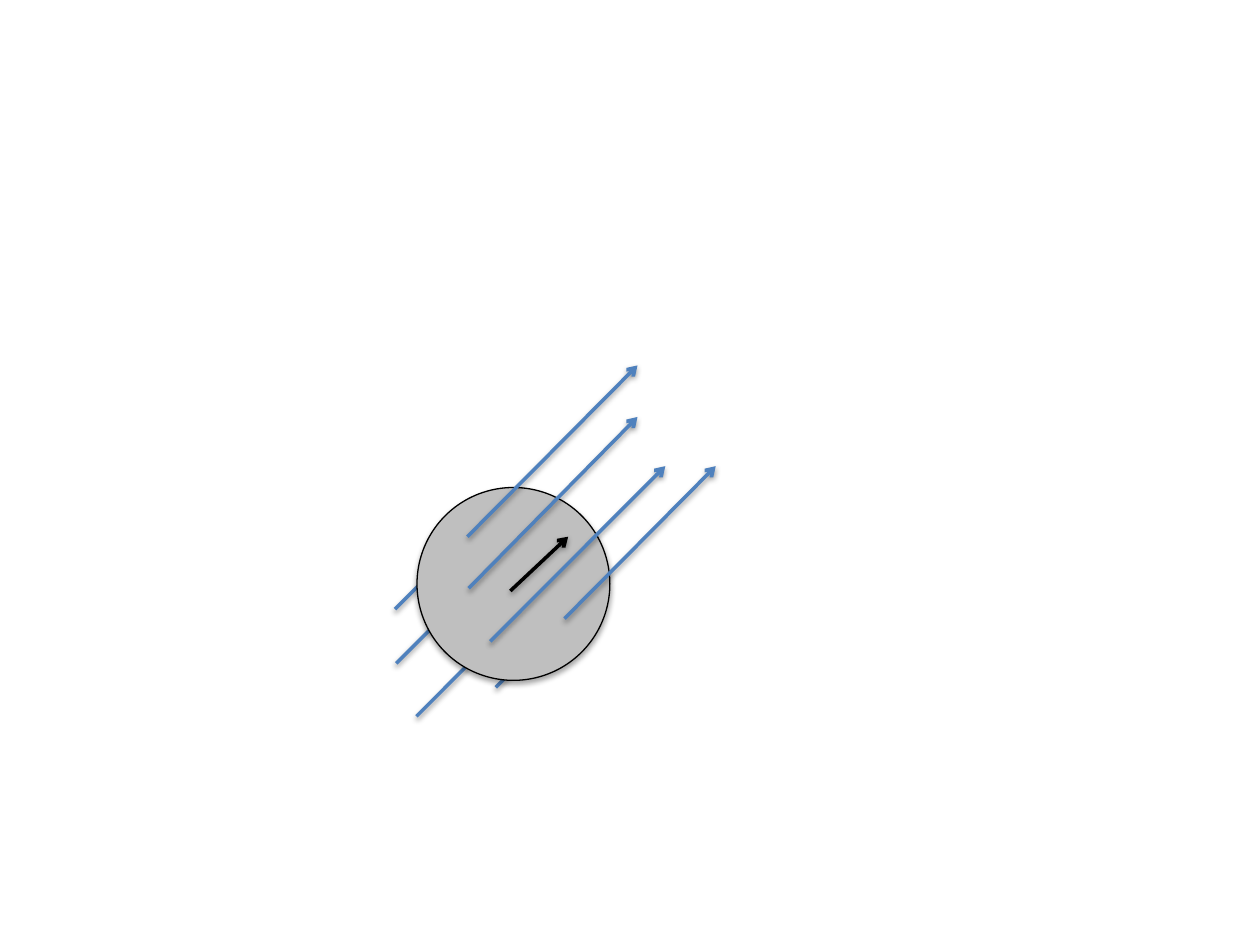
import lxml.etree
import pptx
import pptx.dml.color
import pptx.enum.shapes
import pptx.oxml.ns
import pptx.util

Pt = pptx.util.Pt
BLUE, GREY, BLACK = "4F81BD", "BFBFBF", "000000"

# Field lines behind the sphere all run by the same step from these points.
REAR_STARTS = [(324.7, 351.4), (279.4, 367.9), (267.1, 306.7), (267.8, 337.7)]
REAR_STEP = 41.4
FRONT_ARROWS = [
    ((267.8, 336.2), (364.3, 238.3)),
    ((280.1, 366.5), (380.2, 266.4)),
    ((322.6, 353.5), (409, 266.4)),
    ((267.1, 306.7), (364.3, 208.8)),
]


def color(hex_string):
    return pptx.dml.color.RGBColor.from_string(hex_string)


def add_element(parent, tag, **attributes):
    element = lxml.etree.SubElement(parent, pptx.oxml.ns.qn(tag))
    for name, value in attributes.items():
        element.set(name, str(value))
    return element


class Painter:
    line_width = 2
    outline_width = 0.75
    shadow_blur = 3.15

    def __init__(self, slide):
        self.slide = slide

    def shadow(self, shape, distance, opacity):
        """Add a soft black shadow falling straight down; set the line first."""
        effects = add_element(shape._element.spPr, "a:effectLst")
        outer = add_element(
            effects, "a:outerShdw", blurRad=Pt(self.shadow_blur),
            dist=Pt(distance), dir=90 * 60000, rotWithShape=0)
        shade = add_element(outer, "a:srgbClr", val=BLACK)
        add_element(shade, "a:alpha", val=opacity * 1000)

    def line(self, start, end, line_color=BLUE, arrow=False):
        connector = self.slide.shapes.add_connector(
            pptx.enum.shapes.MSO_CONNECTOR.STRAIGHT,
            *(Pt(value) for value in (*start, *end)))
        connector.line.width = Pt(self.line_width)
        connector.line.color.rgb = color(line_color)
        if arrow:
            add_element(connector.line._get_or_add_ln(), "a:tailEnd", type="arrow")
        self.shadow(connector, distance=1.6, opacity=38)

    def circle(self, left, top, diameter):
        shape = self.slide.shapes.add_shape(
            pptx.enum.shapes.MSO_SHAPE.OVAL,
            Pt(left), Pt(top), Pt(diameter), Pt(diameter))
        shape.fill.solid()
        shape.fill.fore_color.rgb = color(GREY)
        shape.line.color.rgb = color(BLACK)
        shape.line.width = Pt(self.outline_width)
        self.shadow(shape, distance=1.8, opacity=35)


def main():
    presentation = pptx.Presentation()
    presentation.slide_width, presentation.slide_height = Pt(720), Pt(540)
    blank_layout = presentation.slide_layouts[6]
    painter = Painter(presentation.slides.add_slide(blank_layout))

    for x, y in REAR_STARTS:
        painter.line((x, y), (x - REAR_STEP, y + REAR_STEP))
    painter.circle(238.3, 278.6, 110.2)
    painter.line((291.6, 337.7), (324.7, 306.7), BLACK, arrow=True)
    for start, end in FRONT_ARROWS:
        painter.line(start, end, arrow=True)

    presentation.save("out.pptx")


if __name__ == "__main__":
    main()
